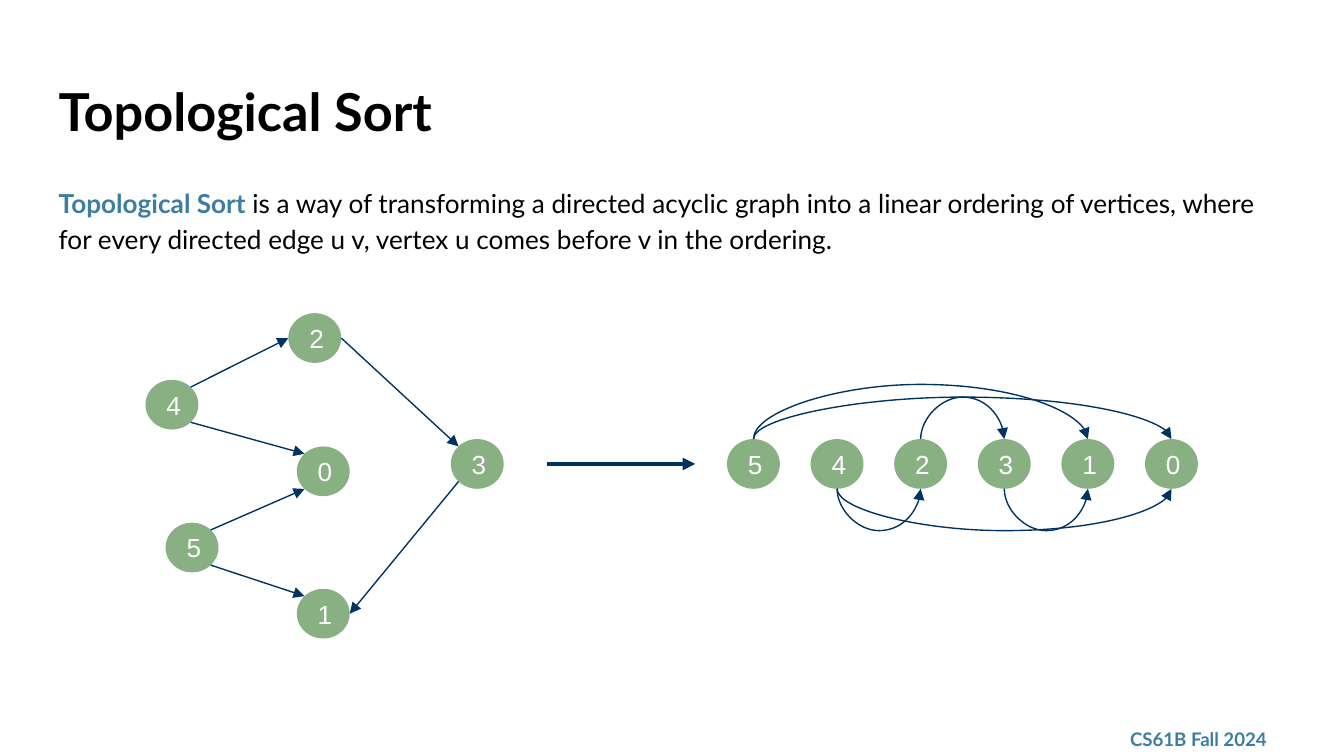
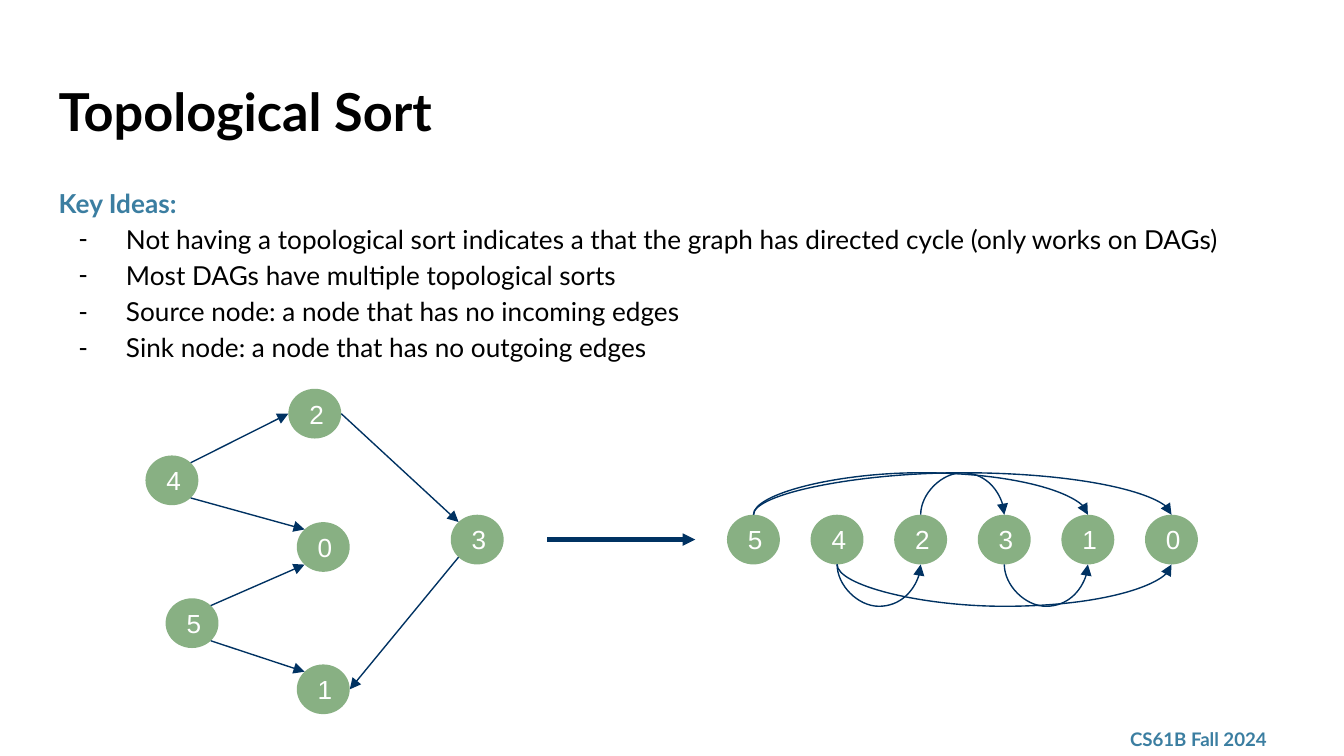
from lxml import etree
from pptx import Presentation
from pptx.dml.color import RGBColor
from pptx.enum import shapes, text
from pptx.oxml import ns
from pptx.util import Cm, Emu, Pt

BLACK = RGBColor(0x00, 0x00, 0x00)
WHITE = RGBColor(0xFF, 0xFF, 0xFF)
TEAL = RGBColor(0x3B, 0x7E, 0xA1)
NAVY = RGBColor(0x00, 0x32, 0x62)
GREEN = RGBColor(0x88, 0xB0, 0x83)

LATO = "Lato"
INSET = Cm(0.25)
NODE_W, NODE_H = 1.0, 0.94
DIAG = 0.5 ** 0.5
SITES = {
    "n": (0, -1), "e": (1, 0), "s": (0, 1), "w": (-1, 0),
    "ne": (DIAG, -DIAG), "se": (DIAG, DIAG),
    "nw": (-DIAG, -DIAG), "sw": (-DIAG, DIAG),
}
ROW_Y = 8.77
GRAPH = {
    "5": (3.63, 10.35), "4": (3.25, 7.65), "0": (6.11, 8.91),
    "2": (5.95, 6.39), "1": (6.11, 11.6), "3": (9.02, ROW_Y),
}
EDGES = [
    ("5", "se", "1", "nw"), ("5", "ne", "0", "sw"), ("4", "se", "0", "nw"),
    ("4", "ne", "2", "w"), ("2", "e", "3", "nw"), ("3", "sw", "1", "e"),
]
ORDER = {name: (14.24 + 1.58 * i, ROW_Y) for i, name in enumerate("542310")}
ARCS = [("5", "0", "n"), ("4", "0", "s"), ("2", "3", "n"),
        ("3", "1", "s"), ("4", "2", "s")]
THIN = Emu(600)
DEPTH = 0.66
IDEAS = [
    "Not having a topological sort indicates a that the graph has directed cycle (only works on DAGs)",
    "Most DAGs have multiple topological sorts",
    "Source node: a node that has no incoming edges",
    "Sink node: a node that has no outgoing edges",
]


def sub(parent, tag, **attrs):
    return etree.SubElement(parent, ns.qn(tag), attrs)


def style(font, size, color, bold=False, name=LATO):
    font.name = name
    font.size = Pt(size)
    font.bold = bold
    font.color.rgb = color


def set_frame(frame, anchor):
    frame.word_wrap = True
    frame.auto_size = text.MSO_AUTO_SIZE.NONE
    frame.vertical_anchor = anchor
    frame.margin_left = frame.margin_right = INSET
    frame.margin_top = frame.margin_bottom = INSET


def place(shape, left, top, width, height):
    shape.left, shape.top = Cm(left), Cm(top)
    shape.width, shape.height = Cm(width), Cm(height)


def add_foot(slide):
    box = slide.shapes.add_textbox(Cm(21.11), Cm(13.64), Cm(3.43), Cm(0.66))
    set_frame(box.text_frame, text.MSO_ANCHOR.MIDDLE)
    para = box.text_frame.paragraphs[0]
    para.text = "CS61B Fall 2024"
    style(para.font, 10, TEAL, True)
    slide.slide_layout.shapes._spTree.append(box._element)


def add_title(slide, words):
    title = slide.shapes.title
    place(title, 0.86, 1.24, 23.67, 1.6)
    set_frame(title.text_frame, text.MSO_ANCHOR.TOP)
    para = title.text_frame.paragraphs[0]
    para.text = words
    para.alignment = text.PP_ALIGN.LEFT
    style(para.font, 28, BLACK, True)


def get_body(slide, height):
    body = slide.placeholders[1]
    place(body, 0.86, 3.2, 23.67, height)
    set_frame(body.text_frame, text.MSO_ANCHOR.TOP)
    return body.text_frame


def set_para(para, color, bold=False, bullet=False):
    para.line_spacing = 1.15
    para.space_before = Pt(0)
    style(para.font, 14, color, bold)
    props = para._p.get_or_add_pPr()
    props.set("marL", str(Cm(1.27) if bullet else 0))
    props.set("indent", str(Cm(-0.89) if bullet else 0))
    mark = []
    if bullet:
        tint = etree.Element(ns.qn("a:buClr"))
        sub(tint, "a:srgbClr", val=str(BLACK))
        mark = [tint, etree.Element(ns.qn("a:buChar"), char="-")]
    else:
        mark = [etree.Element(ns.qn("a:buNone"))]
    for item in mark:
        props.find(ns.qn("a:defRPr")).addprevious(item)


def add_node(slide, name, x, y):
    node = slide.shapes.add_shape(
        shapes.MSO_SHAPE.OVAL, Cm(x - NODE_W / 2), Cm(y - NODE_H / 2),
        Cm(NODE_W), Cm(NODE_H))
    node.shadow.inherit = False
    node.fill.solid()
    node.fill.fore_color.rgb = GREEN
    node.line.fill.background()
    set_frame(node.text_frame, text.MSO_ANCHOR.MIDDLE)
    para = node.text_frame.paragraphs[0]
    para.text = name
    para.alignment = text.PP_ALIGN.CENTER
    style(para.font, 14, WHITE, name="Arial")


def site(center, side):
    dx, dy = SITES[side]
    return center[0] + dx * NODE_W / 2, center[1] + dy * NODE_H / 2


def set_line(link, width):
    link.line.color.rgb = NAVY
    link.line.width = Pt(width)
    sub(link.line._get_or_add_ln(), "a:tailEnd", type="triangle")
    sub(link._element.spPr, "a:effectLst")


def add_arrow(slide, start, end, width=0.75):
    link = slide.shapes.add_connector(
        shapes.MSO_CONNECTOR.STRAIGHT, *map(Cm, (*start, *end)))
    set_line(link, width)


def add_arc(slide, start, end, up, depth):
    mid, half = Cm((start[0] + end[0]) / 2), Cm((end[0] - start[0]) / 2)
    y = Cm(start[1])
    link = slide.shapes.add_connector(
        shapes.MSO_CONNECTOR.CURVE, mid, y - half, mid + THIN, y + half)
    props = link._element.spPr
    frame = props.find(ns.qn("a:xfrm"))
    frame.set("rot", "16200000")
    frame.set("flipH", "1")
    bend = round(Cm(depth) / THIN * 100000) * (-1 if up else 1)
    guides = props.find(ns.qn("a:prstGeom")).find(ns.qn("a:avLst"))
    sub(guides, "a:gd", name="adj1", fmla=f"val {bend}")
    set_line(link, 0.75)


def add_graphs(slide, drop, rise):
    graph, order = ({name: (x, y + drop) for name, (x, y) in nodes.items()}
                    for nodes in (GRAPH, ORDER))
    for nodes in (graph, order):
        for name, center in nodes.items():
            add_node(slide, name, *center)
    for tail, out, head, into in EDGES:
        add_arrow(slide, site(graph[tail], out), site(graph[head], into))
    add_arrow(slide, (10.34, ROW_Y + drop), (13.14, ROW_Y + drop), 2.25)
    arcs = [(*arc, DEPTH) for arc in ARCS] + [("5", "1", "n", rise)]
    for tail, head, side, depth in arcs:
        add_arc(slide, site(order[tail], side), site(order[head], side),
                side == "n", depth)


def add_meaning(slide):
    para = get_body(slide, 2.34).paragraphs[0]
    term = para.add_run()
    term.text = "Topological Sort "
    style(term.font, 14, TEAL, True)
    rest = para.add_run()
    rest.text = ("is a way of transforming a directed acyclic graph into a linear "
                 "ordering of vertices, where for every directed edge u v, "
                 "vertex u comes before v in the ordering.")
    set_para(para, BLACK)
    para.space_after = Pt(16)


def add_ideas(slide):
    frame = get_body(slide, 2.87)
    head = frame.paragraphs[0]
    head.text = "Key Ideas:"
    set_para(head, TEAL, True)
    for idea in IDEAS:
        para = frame.add_paragraph()
        para.text = idea
        set_para(para, BLACK, bullet=True)


def main():
    deck = Presentation()
    deck.slide_width, deck.slide_height = Cm(25.4), Cm(14.29)
    layout = deck.slide_layouts[1]
    pages = [(add_meaning, 0, 0.86), (add_ideas, 1.43, DEPTH)]
    for i, (fill, drop, rise) in enumerate(pages):
        slide = deck.slides.add_slide(layout)
        if i == 0:
            add_foot(slide)
        add_title(slide, "Topological Sort")
        fill(slide)
        add_graphs(slide, drop, rise)
    deck.save("out.pptx")


if __name__ == "__main__":
    main()
